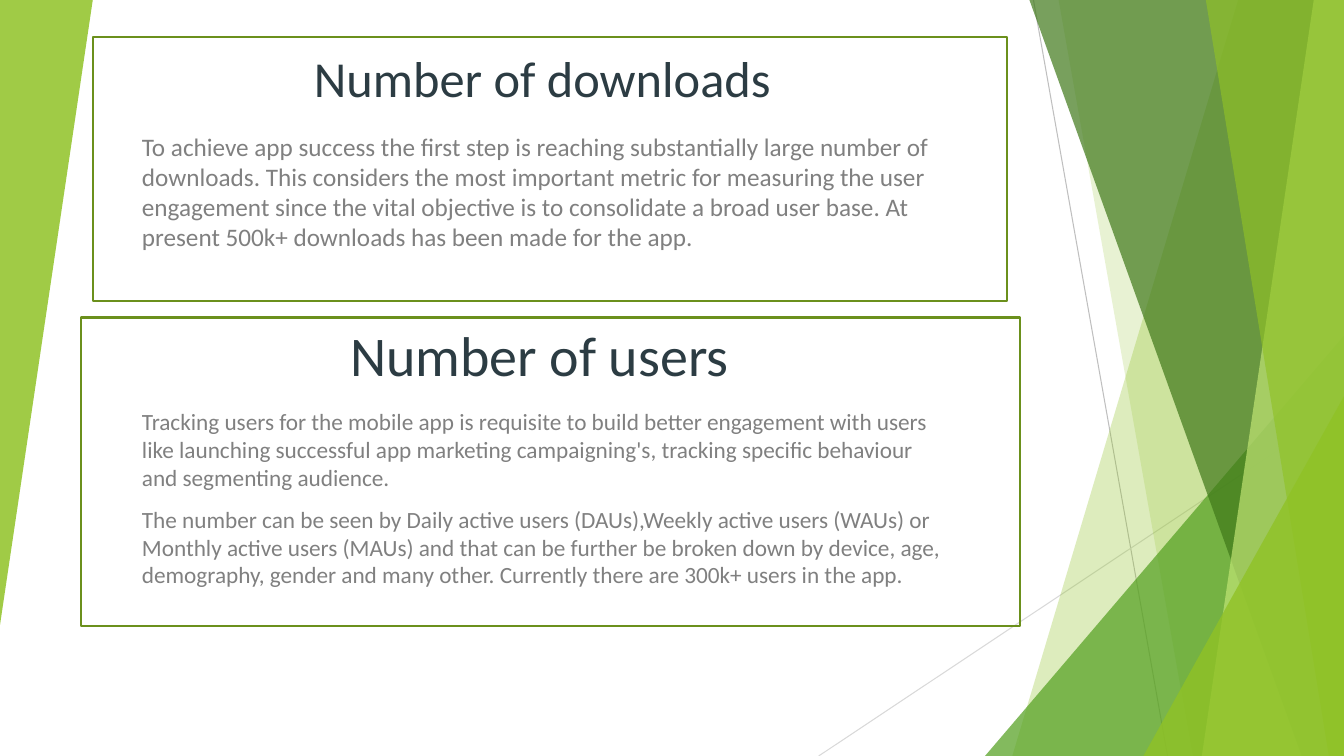
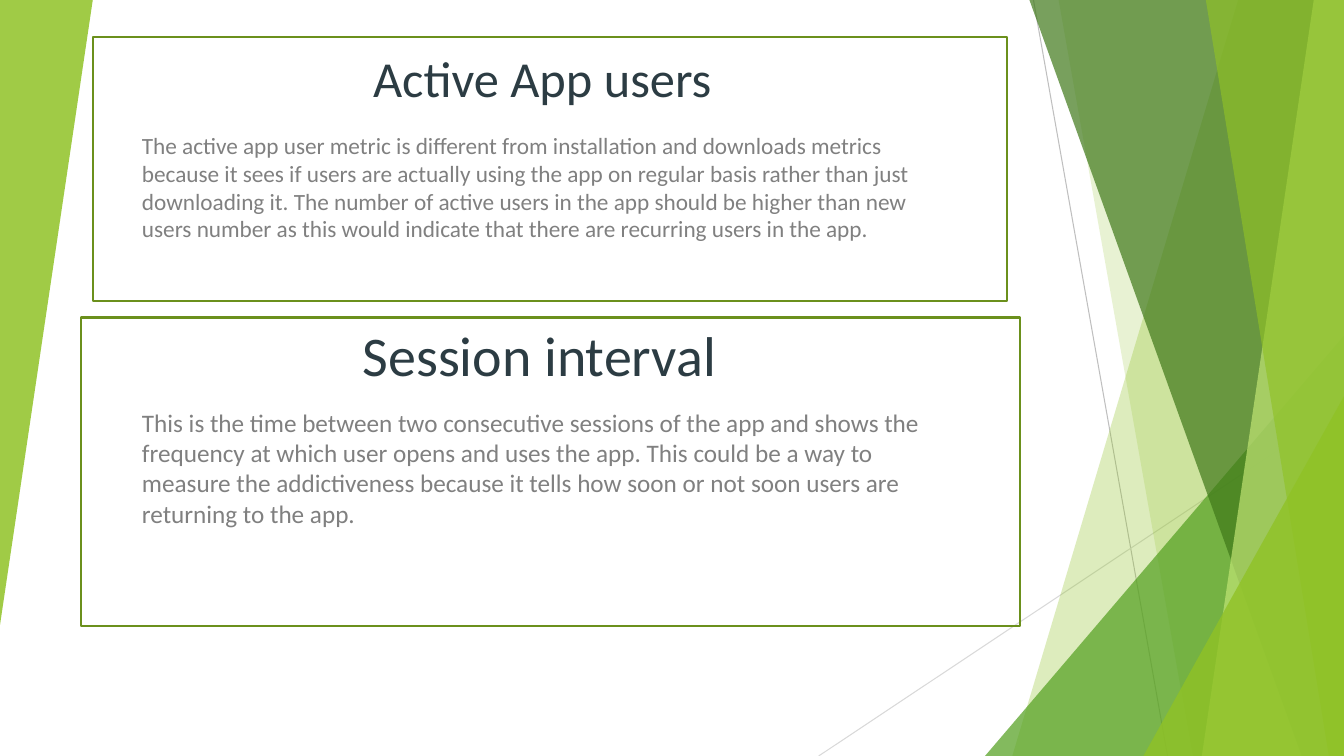
from lxml import etree
from pptx import Presentation
from pptx.dml.color import RGBColor
from pptx.enum.shapes import MSO_CONNECTOR, MSO_SHAPE
from pptx.enum.text import MSO_ANCHOR, PP_ALIGN
from pptx.oxml.ns import qn
from pptx.util import Inches, Pt

STRAIGHT = MSO_CONNECTOR.STRAIGHT
RECT, TRIANGLE = MSO_SHAPE.RECTANGLE, MSO_SHAPE.ISOSCELES_TRIANGLE
TOP, BOTTOM = MSO_ANCHOR.TOP, MSO_ANCHOR.BOTTOM
LEFT, CENTER = PP_ALIGN.LEFT, PP_ALIGN.CENTER

WIDTH, HEIGHT = 13.33, 7.5
FONT = "Calibri"
COLORS = {
    "lime": "90C226", "green": "54A021", "forest": "3F7819", "pale": "C0E474",
    "frame": "6B901C", "title": "2C3C43", "body": "808080",
    "line_dark": "BFBFBF", "line_light": "D9D9D9",
}

# Frame, title and body boxes (left, top, width, height), title size
UPPER = ((0.92, 0.37, 9.07, 2.62), (1.31, 0.51, 8.14, 0.61), (1.31, 1.25, 8.14, 1.29), 36)
LOWER = ((0.8, 3.15, 9.32, 3.06), (1.25, 3.39, 8.2, 0.51), (1.31, 3.99, 8.14, 2.02), 40)

# Each slide: (title, body size, paragraphs) for the upper and the lower panel
SLIDES = [
    [
        ("Number of downloads", 18, [
            "To achieve app success the first step is reaching substantially large number of "
            "downloads. This considers the most important metric for measuring the user "
            "engagement since the vital objective is to consolidate a broad user base. At "
            "present 500k+ downloads has been made for the app."]),
        ("Number of users", 16.6, [
            "Tracking users for the mobile app is requisite to build better engagement with "
            "users like launching successful app marketing campaigning's, tracking specific "
            "behaviour and segmenting audience.",
            "The number can be seen by Daily active users (DAUs),Weekly active users (WAUs) or "
            "Monthly active users (MAUs) and that can be further be broken down by device, "
            "age, demography, gender and many other. Currently there are 300k+ users in the "
            "app."]),
    ],
    [
        ("Active App users", 16.6, [
            "The active app user metric is different from installation and downloads metrics "
            "because it sees if users are actually using the app on regular basis rather than "
            "just downloading it. The number of active users in the app should be higher than "
            "new users number as this would indicate that there are recurring users in the "
            "app."]),
        ("Session interval", 18, [
            "This is the time between two consecutive sessions of the app and shows the "
            "frequency at which user opens and uses the app. This could be a way to measure "
            "the addictiveness because it tells how soon or not soon users are returning to "
            "the app."]),
    ],
]


def rgb(name):
    """Return the named colour."""
    return RGBColor.from_string(COLORS[name])


def inches(values):
    """Convert a sequence of numbers to lengths."""
    return [Inches(v) for v in values]


def fill_glass(sp, color, opacity):
    """Give a shape a see-through fill without outline or shadow."""
    sp.shadow.inherit = False
    sp.line.fill.background()
    sp.fill.solid()
    sp.fill.fore_color.rgb = rgb(color)
    clr = sp.fill._xPr.find(qn("a:solidFill"))[0]
    etree.SubElement(clr, qn("a:alpha")).set("val", str(opacity * 1000))


def add_line(slide, start, end, color):
    """Draw a thin straight line."""
    line = slide.shapes.add_connector(STRAIGHT, *inches(start + end))
    line.line.color.rgb = rgb(color)
    line.line.width = Pt(0.75)
    etree.SubElement(line._element.spPr, qn("a:effectLst"))


def add_shard(slide, top_x, bottom_x, color, opacity):
    """Draw a band from a slanted left edge to the right side of the slide."""
    corners = [(top_x, 0), (WIDTH, 0), (WIDTH, HEIGHT), (bottom_x, HEIGHT)]
    points = [inches(c) for c in corners]
    builder = slide.shapes.build_freeform(*points[0], scale=1.0)
    builder.add_line_segments(points[1:], close=True)
    fill_glass(builder.convert_to_shape(), color, opacity)


def add_triangle(slide, box, color, opacity, rotation=0):
    """Draw a right-angled triangle."""
    sp = slide.shapes.add_shape(TRIANGLE, *inches(box))
    sp.adjustments[0] = 1
    sp.rotation = rotation
    fill_glass(sp, color, opacity)


def add_backdrop(slide):
    """Draw the green facets that every slide shares."""
    add_line(slide, (10.25, 0), (11.58, HEIGHT), "line_dark")
    add_line(slide, (WIDTH, 4.03), (8.12, HEIGHT), "line_light")
    add_shard(slide, 12.28, 10.04, "lime", 30)
    add_shard(slide, 10.5, 11.83, "lime", 20)
    add_triangle(slide, (9.77, 3.33, 3.56, 4.17), "green", 72)
    add_shard(slide, 10.21, 12.91, "forest", 70)
    add_shard(slide, 13.03, 11.92, "pale", 70)
    add_shard(slide, 11.96, 13.18, "lime", 65)
    add_triangle(slide, (11.34, 3.93, 1.99, 3.57), "lime", 80)
    add_triangle(slide, (0, 0, 0.92, 6.2), "lime", 85, rotation=180)


def add_text(slide, box, paragraphs, size, color, align=LEFT, anchor=TOP, before=0):
    """Add a wrapped text box with one run per paragraph."""
    tf = slide.shapes.add_textbox(*inches(box)).text_frame
    tf.word_wrap = True
    tf.vertical_anchor = anchor
    for i, text in enumerate(paragraphs):
        p = tf.add_paragraph() if i else tf.paragraphs[0]
        p.alignment = align
        p.space_before = Pt(before)
        r = p.add_run()
        r.text = text
        r.font.name = FONT
        r.font.size = Pt(size)
        r.font.color.rgb = rgb(color)


def add_panel(slide, layout, content):
    """Add a framed panel with a centred title above its body text."""
    frame_box, title_box, body_box, title_size = layout
    title, body_size, paragraphs = content
    frame = slide.shapes.add_shape(RECT, *inches(frame_box))
    frame.shadow.inherit = False
    frame.fill.background()
    frame.line.color.rgb = rgb("frame")
    frame.line.width = Pt(1.5)
    add_text(slide, title_box, [title], title_size, "title", CENTER, BOTTOM)
    add_text(slide, body_box, paragraphs, body_size, "body", before=10)


def main():
    """Build and save the presentation."""
    prs = Presentation()
    prs.slide_width, prs.slide_height = inches((WIDTH, HEIGHT))
    for panels in SLIDES:
        slide = prs.slides.add_slide(prs.slide_layouts[6])
        add_backdrop(slide)
        for layout, content in zip((UPPER, LOWER), panels):
            add_panel(slide, layout, content)
    prs.save("out.pptx")


main()
